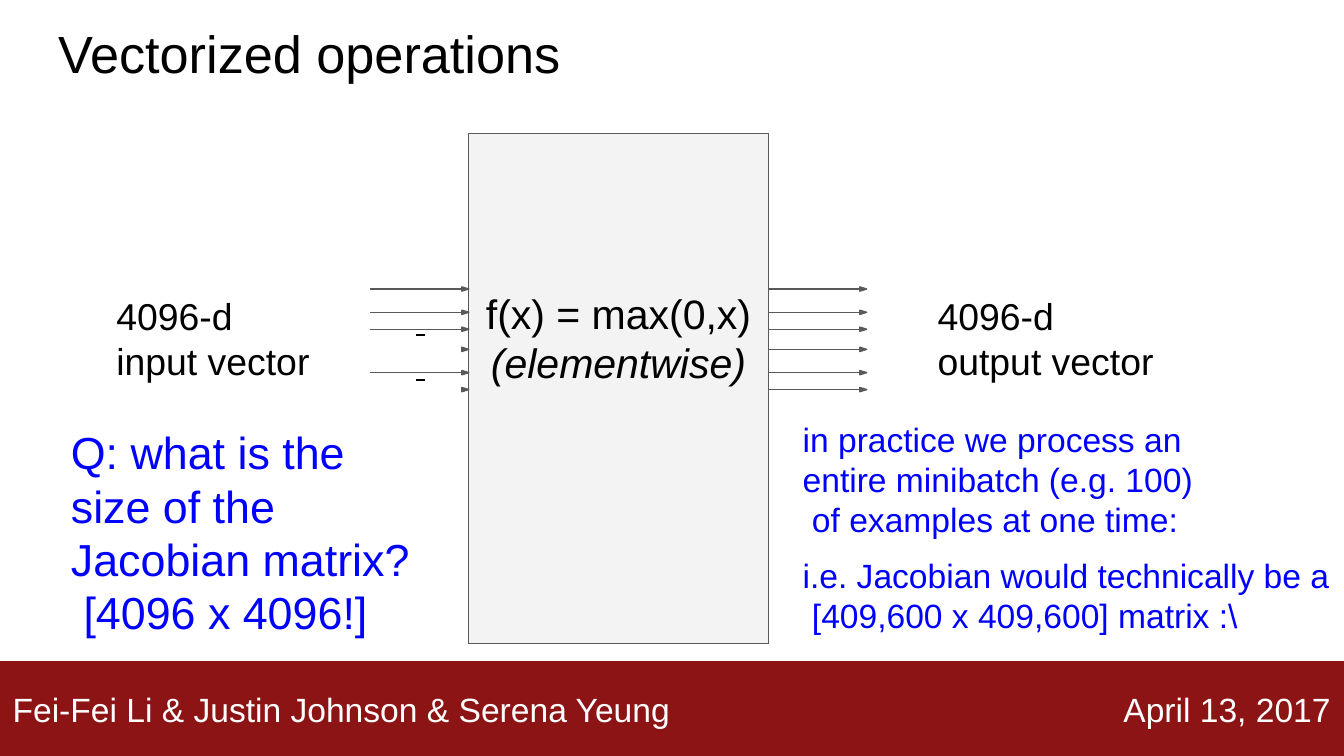
from dataclasses import dataclass

import pptx
import pptx.dml.color
import pptx.enum.shapes
import pptx.enum.text
import pptx.util
from lxml import etree
from pptx.oxml.ns import qn
from pptx.util import Cm, Pt

ALIGN = pptx.enum.text.PP_ALIGN
ANCHOR = pptx.enum.text.MSO_ANCHOR
NO_STYLE = "{2D5ABB26-0587-4C30-8999-92F81FD0307C}"

BOX_LEFT, BOX_TOP, BOX_WIDTH, BOX_HEIGHT = 8.86, 2.52, 5.66, 9.63
SHAFT, HEAD = 1.73, 0.13
ARROW_YS = [top + offset for top in (5.46, 6.6) for offset in (0, 0.44, 0.76)]
BARE_HEADS = (3, 5)


@dataclass(frozen=True)
class Theme:
    font: str = "Arial"
    blank_font: str = "Times New Roman"
    ink: str = "000000"
    accent: str = "0000FF"
    light: str = "FFFFFF"
    band: str = "8C1414"
    box: str = "F3F3F3"
    line: str = "595959"
    hairline: float = 0.75
    title: float = 28
    question: float = 24
    function: float = 22
    label: float = 20
    note: float = 18


THEME = Theme()


def rgb(value):
    return pptx.dml.color.RGBColor.from_string(value)


def format_paragraph(p, size, color, pitch=None, align=ALIGN.LEFT):
    """Style a paragraph; pitch is the exact line spacing in points."""
    p.alignment = align
    if pitch:
        p.line_spacing = Pt(pitch)
    for r in p.runs:
        r.font.name = THEME.font
        r.font.size = Pt(size)
        r.font.color.rgb = rgb(color)


def format_frame(tf, *style, **options):
    tf.margin_left = tf.margin_right = tf.margin_top = tf.margin_bottom = 0
    tf.vertical_anchor = ANCHOR.TOP
    for p in tf.paragraphs:
        format_paragraph(p, *style, **options)


def add_text(s, text, left, top, width, height, *style, **options):
    tf = s.shapes.add_textbox(Cm(left), Cm(top), Cm(width), Cm(height)).text_frame
    tf.word_wrap = True
    tf.text = text
    format_frame(tf, *style, **options)
    return tf


def indent(p, left):
    p._p.get_or_add_pPr().set("marL", str(Cm(left)))


def paint(sp, fill, line, weight):
    sp.shadow.inherit = False
    sp.fill.solid()
    sp.fill.fore_color.rgb = rgb(fill)
    sp.line.color.rgb = rgb(line)
    sp.line.width = Pt(weight)


def add_shaft(s, x1, x2, y):
    line = s.shapes.add_connector(pptx.enum.shapes.MSO_CONNECTOR.STRAIGHT,
                                  Cm(x1), Cm(y), Cm(x2), Cm(y))
    line.line.color.rgb = rgb(THEME.line)
    line.line.width = Pt(THEME.hairline)
    etree.SubElement(line._element.spPr, qn("a:effectLst"))


def add_head(s, x, y):
    """Draw an arrowhead whose base is centred on (x, y)."""
    half = 0.04
    outline = s.shapes.build_freeform(Cm(x), Cm(y + half))
    outline.add_line_segments([(Cm(x), Cm(y - half)), (Cm(x + HEAD), Cm(y))])
    paint(outline.convert_to_shape(), THEME.line, THEME.line, THEME.hairline)


def set_borders(cell, sides):
    tc_pr = cell._tc.get_or_add_tcPr()
    for side in "LRTB":
        shown = side in sides
        ln = etree.SubElement(tc_pr, qn(f"a:ln{side}"),
                              w=str(Pt(THEME.hairline) if shown else 0))
        fill = etree.SubElement(ln, qn("a:solidFill" if shown else "a:noFill"))
        if shown:
            etree.SubElement(fill, qn("a:srgbClr"), val=THEME.line)


def add_title(s, text):
    sp = s.shapes.title
    sp.left, sp.top, sp.width, sp.height = Cm(1.1), Cm(0.4), Cm(12), Cm(1.25)
    sp.text_frame.text = text
    format_frame(sp.text_frame, THEME.title, THEME.ink)


def add_footer(s):
    band = s.shapes.add_shape(pptx.enum.shapes.MSO_SHAPE.RECTANGLE,
                              0, Cm(12.54), Cm(25.4), Cm(1.74))
    paint(band, THEME.band, THEME.band, 3)
    style = (THEME.note, THEME.light)
    add_text(s, "Fei-Fei Li & Justin Johnson & Serena Yeung",
             0.24, 13.02, 13, 0.8, *style)
    add_text(s, "April 13, 2017", 20.15, 13.02, 5, 0.8, *style, align=ALIGN.RIGHT)


def add_function_table(s):
    """Merged function cell; the rules of the right column are output shafts."""
    edges = [BOX_TOP, *ARROW_YS, BOX_TOP + BOX_HEIGHT]
    last = len(edges) - 2
    frame = s.shapes.add_table(last + 1, 2, Cm(BOX_LEFT), Cm(BOX_TOP),
                               Cm(BOX_WIDTH + SHAFT), Cm(BOX_HEIGHT))
    table = frame.table
    table.first_row = table.horz_banding = False
    table._tbl.tblPr.find(qn("a:tableStyleId")).text = NO_STYLE
    table.columns[0].width, table.columns[1].width = Cm(BOX_WIDTH), Cm(SHAFT)
    for i, row in enumerate(table.rows):
        row.height = Cm(edges[i + 1] - edges[i])
        function, output = row.cells
        set_borders(function, "LR" + "T" * (i == 0) + "B" * (i in (0, last)))
        set_borders(output, "L" + "T" * (i > 0) + "B" * (i < last))
        function.fill.solid()
        function.fill.fore_color.rgb = rgb(THEME.box)
        output.fill.background()
        for cell in row.cells:
            cell.margin_left = cell.margin_right = 0
            cell.margin_top = cell.margin_bottom = 0
            etree.SubElement(cell.text_frame.paragraphs[0]._p,
                             qn("a:endParaRPr"), sz="100")
    cell = table.cell(0, 0)
    cell.merge(table.cell(last, 0))
    cell.text_frame.text = "f(x) = max(0,x)\n(elementwise)"
    for p in cell.text_frame.paragraphs:
        format_paragraph(p, THEME.function, THEME.ink, 26.4, ALIGN.CENTER)
    cell.text_frame.paragraphs[1].runs[0].font.italic = True
    cell.margin_top = Cm(2.94)


def add_arrows(s):
    shaft_end = BOX_LEFT - HEAD
    for i, y in enumerate(ARROW_YS):
        if i not in BARE_HEADS:
            add_shaft(s, shaft_end - SHAFT, shaft_end, y)
        add_head(s, shaft_end, y)
        add_head(s, BOX_LEFT + BOX_WIDTH + SHAFT, y)


def add_input_and_question(s):
    tf = add_text(s, "4096-d\ninput vector\n"
                  "Q: what is the\vsize of the\vJacobian matrix?\n[4096 x 4096!]",
                  1.34, 5.54, 7.58, 6.5, THEME.label, THEME.ink, pitch=24)
    *labels, question, answer = tf.paragraphs
    for p in labels:
        indent(p, 0.86)
        tabs = etree.SubElement(p._p.get_or_add_pPr(), qn("a:tabLst"))
        etree.SubElement(tabs, qn("a:tab"), pos=str(Cm(5.66)), algn="l")
        r = p.add_run()
        r.text = "\t"
        r.font.size = Pt(THEME.label)
        r = p.add_run()
        r.text = " "
        r.font.name = THEME.blank_font
        r.font.size = Pt(THEME.label)
        r.font.underline = True
    for p in (question, answer):
        format_paragraph(p, THEME.question, THEME.accent, pitch=28.4)
    question.space_before = Pt(23)
    indent(answer, 0.24)


def add_output_and_notes(s):
    add_text(s, "4096-d\voutput vector", 17.72, 5.54, 5, 1.75,
             THEME.label, THEME.ink, pitch=24)
    tf = add_text(s, "in practice we process an\ventire minibatch (e.g. 100)\v"
                  " of examples at one time:\n"
                  "i.e. Jacobian would technically be a\v [409,600 x 409,600] matrix :\\",
                  15.17, 7.92, 10.2, 4.1, THEME.note, THEME.accent, pitch=21.4)
    tf.paragraphs[1].space_before = Pt(8.6)


def main():
    prs = pptx.Presentation()
    prs.slide_width, prs.slide_height = Cm(25.4), Cm(14.28)
    s = prs.slides.add_slide(prs.slide_layouts[5])
    add_footer(s)
    add_title(s, "Vectorized operations")
    add_function_table(s)
    add_arrows(s)
    add_input_and_question(s)
    add_output_and_notes(s)
    prs.save("out.pptx")


if __name__ == "__main__":
    main()
